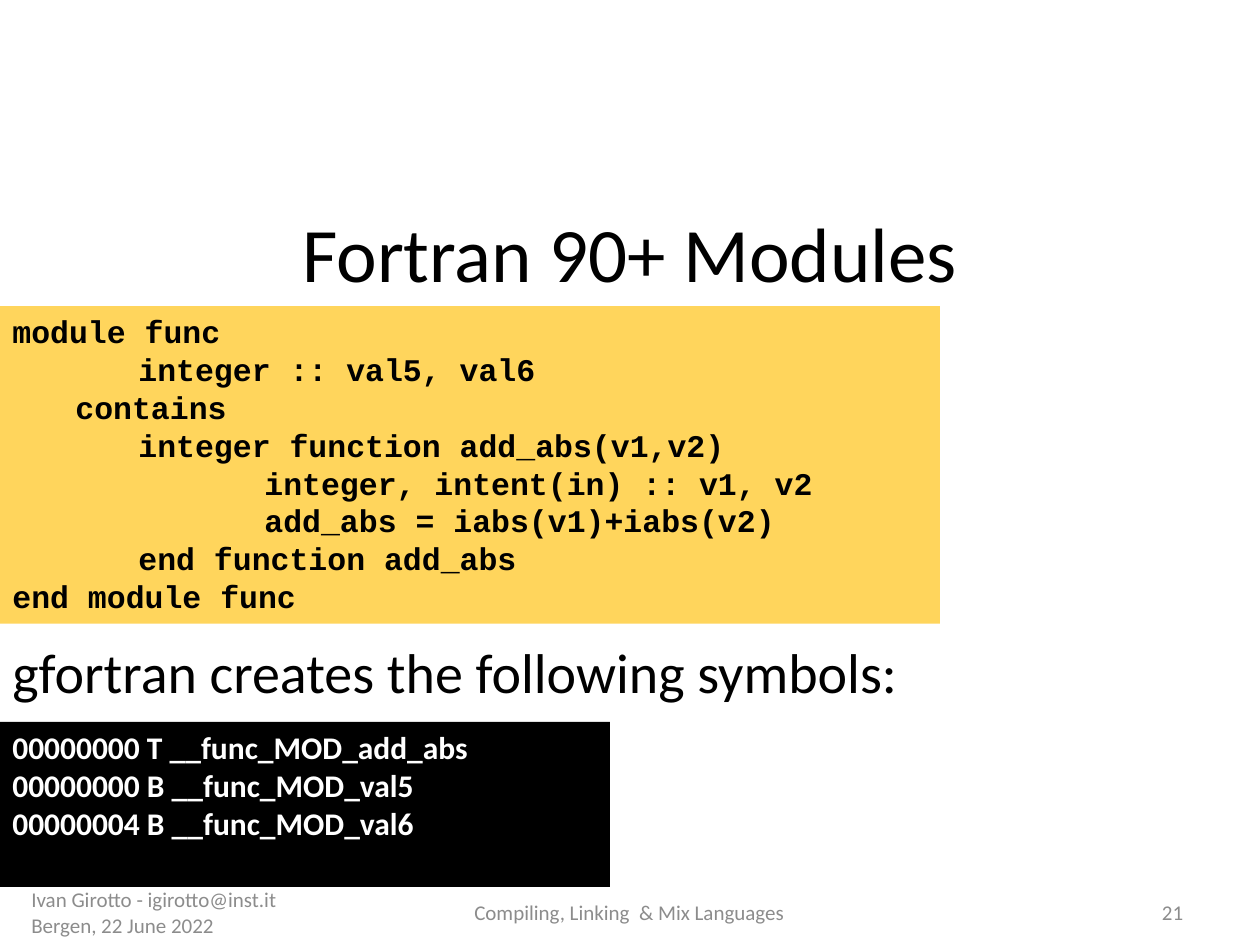
from pptx import Presentation
from pptx import util as u
from pptx.dml.color import RGBColor
from pptx.enum import shapes, text

Inches = u.Inches
COLORS = {
    "ink": "000000",
    "paper": "FFFFFF",
    "code": "FFD55C",
    "footer": "8C8C8C",
}
INDENT = 0.5

# Each code line with its indent level
CODE_LINES = [
    (0, "module func"),
    (2, "integer :: val5, val6"),
    (1, "contains"),
    (2, "integer function add_abs(v1,v2)"),
    (4, "integer, intent(in) :: v1, v2"),
    (4, "add_abs = iabs(v1)+iabs(v2)"),
    (2, "end function add_abs"),
    (0, "end module func"),
]
SYMBOL_LINES = [
    (0, "00000000 T __func_MOD_add_abs"),
    (0, "00000000 B __func_MOD_val5"),
    (0, "00000004 B __func_MOD_val6"),
]


def color(name):
    return RGBColor.from_string(COLORS[name])


def write(shape, lines, size, ink="ink", font="Calibri", bold=False,
          align=text.PP_ALIGN.LEFT, anchor=text.MSO_ANCHOR.TOP):
    frame = shape.text_frame
    frame.word_wrap = True
    frame.auto_size = text.MSO_AUTO_SIZE.NONE
    frame.vertical_anchor = anchor
    for index, (level, line) in enumerate(lines):
        paragraph = frame.add_paragraph() if index else frame.paragraphs[0]
        paragraph.alignment = align
        if level:
            properties = paragraph._p.get_or_add_pPr()
            properties.set("marL", str(Inches(level * INDENT)))
            properties.set("indent", "0")
        for part_index, part in enumerate(line.split("\n")):
            if part_index:
                paragraph.add_line_break()
            run = paragraph.add_run()
            run.text = part
            run.font.size = u.Pt(size)
            run.font.name = font
            run.font.bold = bold
            run.font.color.rgb = color(ink)


def place_title(slide, box, title):
    shape = slide.shapes.title
    shape.left, shape.top, shape.width, shape.height = map(Inches, box)
    write(shape, [(0, title)], 44, align=text.PP_ALIGN.CENTER,
          anchor=text.MSO_ANCHOR.MIDDLE)


def add_panel(slide, box, fill, lines, **style):
    panel = slide.shapes.add_shape(shapes.MSO_SHAPE.RECTANGLE, *map(Inches, box))
    panel.shadow.inherit = False
    panel.fill.solid()
    panel.fill.fore_color.rgb = color(fill)
    panel.line.fill.background()
    write(panel, lines, 18, bold=True, **style)


def add_label(slide, box, label, size, **style):
    shape = slide.shapes.add_textbox(*map(Inches, box))
    write(shape, [(0, label)], size, **style)


def add_footer(slide, box):
    left, top, _, height = box
    parts = [
        (2.68, "Ivan Girotto - igirotto@inst.it\nBergen, 22 June 2022", text.PP_ALIGN.LEFT),
        (4.33, "Compiling, Linking  & Mix Languages", text.PP_ALIGN.CENTER),
        (2.33, "21", text.PP_ALIGN.RIGHT),
    ]
    for width, label, align in parts:
        add_label(slide, (left, top, width, height), label, 12, ink="footer",
                  align=align, anchor=text.MSO_ANCHOR.MIDDLE)
        left += width


def main():
    presentation = Presentation()
    presentation.slide_width, presentation.slide_height = Inches(10), Inches(7.5)
    slide = presentation.slides.add_slide(presentation.slide_layouts[5])

    # Footer and title
    add_footer(slide, (0.15, 7.04, 9.35, 0.4))
    place_title(slide, (0, 1.56, 10, 0.87), "Fortran 90+ Modules")

    # Source code and the symbols made from it
    add_panel(slide, (0, 2.43, 7.46, 2.52), "code", CODE_LINES, font="Courier New")
    add_panel(slide, (0, 5.73, 4.84, 1.31), "ink", SYMBOL_LINES, ink="paper")
    add_label(slide, (0, 5.01, 7.65, 0.64), "gfortran creates the following symbols:", 32)

    presentation.save("out.pptx")


if __name__ == "__main__":
    main()
